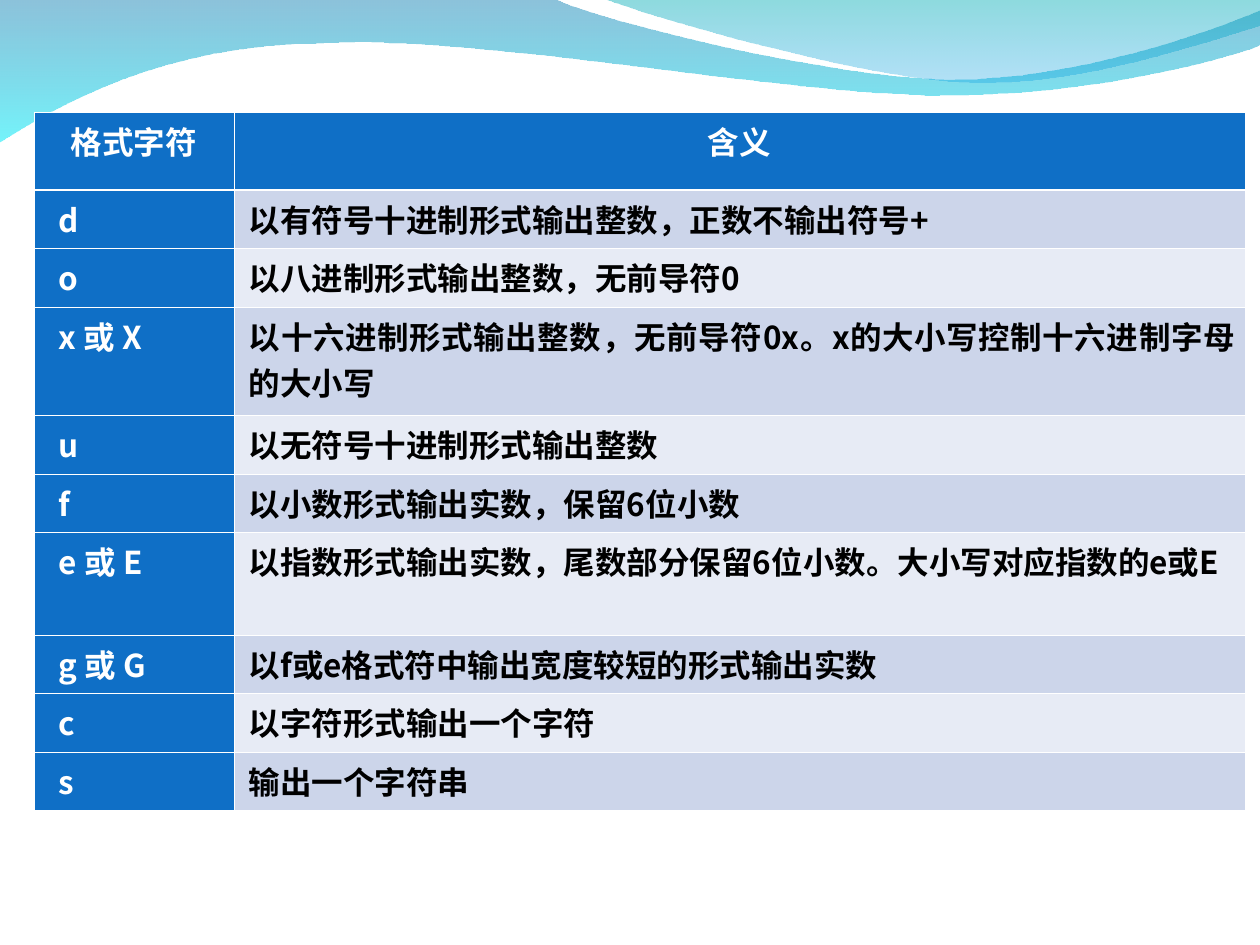
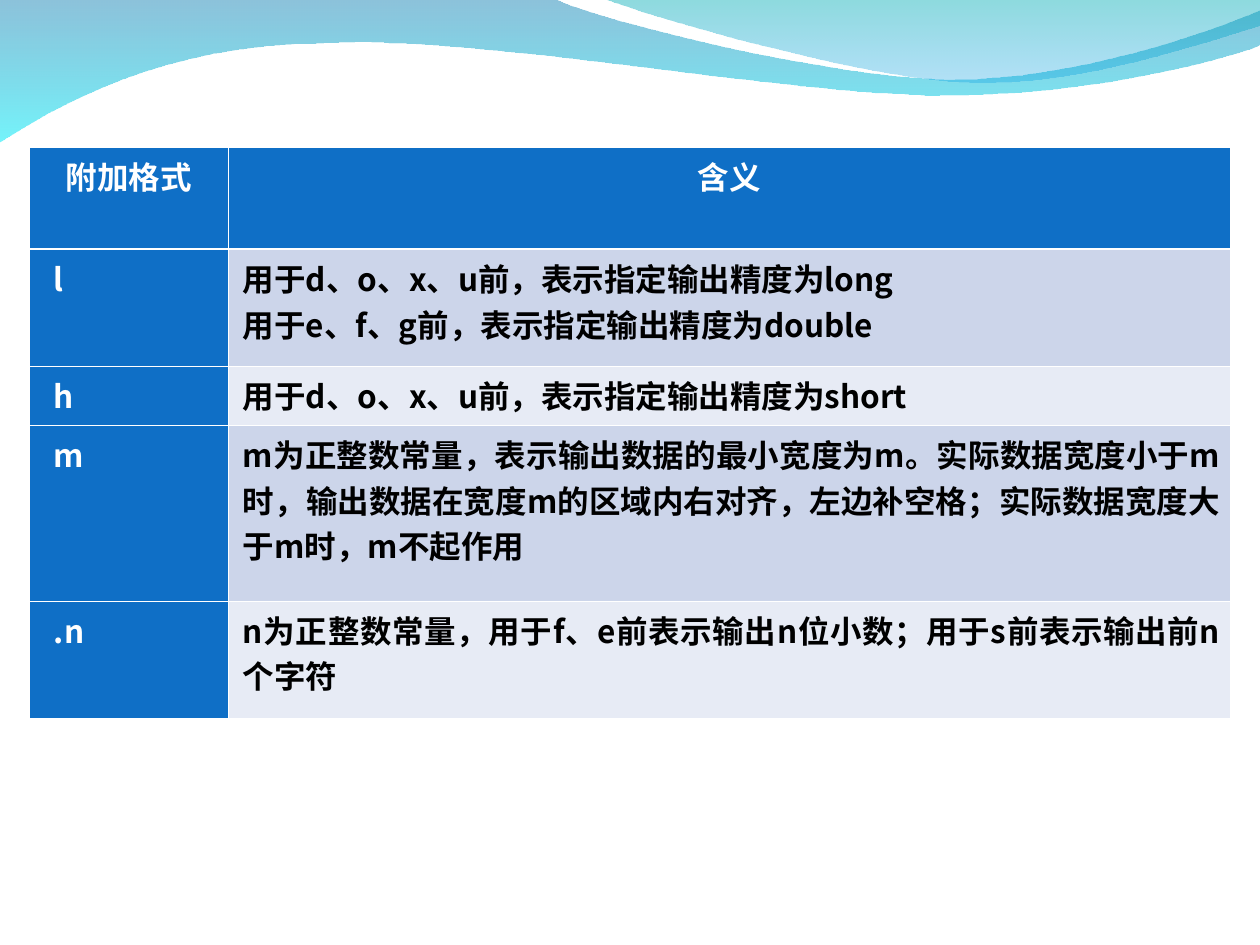
"""Build two slides of printf format tables under a shared wave band."""
from lxml import etree
from pptx import Presentation
from pptx.dml.color import RGBColor
from pptx.enum.text import PP_ALIGN
from pptx.oxml.ns import qn
from pptx.util import Pt

CENTER, JUSTIFY = PP_ALIGN.CENTER, PP_ALIGN.JUSTIFY
EMU_PER_PX = 914400 / 126
FONT = "Noto Sans CJK SC"
WHITE = RGBColor(0xFF, 0xFF, 0xFF)
BLACK = RGBColor(0x00, 0x00, 0x00)
BLUE = RGBColor(0x0F, 0x6F, 0xC6)
BANDS = [RGBColor(0xE7, 0xEB, 0xF5), RGBColor(0xCC, 0xD5, 0xEA)]
THIN, THICK = Pt(0.45), Pt(1.47)

WAVES = [
    {
        "start": (0, -1),
        "segments": [
            [(554, -1)],
            [(600, 21), (837, 79), (955, 79)],
            [(1075, 79), (1207, 33), (1260, 11)],
            [(1261, 45)],
            [(1239, 55), (1096, 96), (940, 95)],
            [(784, 95), (481, 35), (324, 43)],
            [(163, 44), (58, 105), (-1, 142)],
            [(0, -1)],
        ],
        "stops": [(RGBColor(0x00, 0x79, 0xAF), 45), (RGBColor(0x00, 0xEB, 0xF8), 55)],
    },
    {
        "start": (604, -1),
        "segments": [
            [(641, 14), (859, 78), (969, 82)],
            [(1079, 87), (1211, 40), (1260, 26)],
            [(1260, 0)],
            [(604, -1)],
        ],
        "stops": [(RGBColor(0x00, 0xAD, 0xB6), 45), (RGBColor(0x00, 0x9B, 0xE5), 30)],
    },
]

TABLES = [
    {
        "corner": (34, 112),
        "columns": [200, 1011],
        "heights": [78, 58, 59, 108, 59, 58, 76, 58, 59, 58],
        "rows": [
            ("格式字符", "含义"),
            ("d", "以有符号十进制形式输出整数，正数不输出符号+"),
            ("o", "以八进制形式输出整数，无前导符0"),
            ("x 或 X", "以十六进制形式输出整数，无前导符0x。x的大小写控制十六进制字母的大小写"),
            ("u", "以无符号十进制形式输出整数"),
            ("f", "以小数形式输出实数，保留6位小数"),
            ("e 或 E", "以指数形式输出实数，尾数部分保留6位小数。大小写对应指数的e或E"),
            ("g 或 G", "以f或e格式符中输出宽度较短的形式输出实数"),
            ("c", "以字符形式输出一个字符"),
            ("s", "输出一个字符串"),
        ],
    },
    {
        "corner": (29, 147),
        "columns": [199, 1002],
        "heights": [102, 117, 59, 176, 117],
        "rows": [
            ("附加格式", "含义"),
            ("l", "用于d、o、x、u前，表示指定输出精度为long\n用于e、f、g前，表示指定输出精度为double"),
            ("h", "用于d、o、x、u前，表示指定输出精度为short"),
            ("m", "m为正整数常量，表示输出数据的最小宽度为m。实际数据宽度小于m时，"
                  "输出数据在宽度m的区域内右对齐，左边补空格；实际数据宽度大于m时，m不起作用"),
            (".n", "n为正整数常量，用于f、e前表示输出n位小数；用于s前表示输出前n个字符"),
        ],
    },
]


def px(length):
    return round(length * EMU_PER_PX)


def bend_segments(shape, segments):
    lines = iter(list(shape.element.iter(qn("a:lnTo"))))
    for segment in segments:
        nodes = [next(lines) for _ in segment]
        if len(nodes) == 3:
            curve = etree.Element(qn("a:cubicBezTo"))
            nodes[0].addprevious(curve)
            for node in nodes:
                curve.append(node[0])
                node.getparent().remove(node)


deck = Presentation()
deck.slide_width, deck.slide_height = px(1260), px(945)
layout = deck.slide_layouts[6]
for placeholder in list(layout.placeholders):
    layout.shapes.element.remove(placeholder.element)
pages = [deck.slides.add_slide(layout) for _ in TABLES]

wave_shapes = []
for wave in WAVES:
    corners = [(px(x), px(y)) for segment in wave["segments"] for x, y in segment]
    builder = pages[0].shapes.build_freeform(*map(px, wave["start"]))
    builder.add_line_segments(corners, close=True)
    shape = builder.convert_to_shape()
    bend_segments(shape, wave["segments"])
    shape.shadow.inherit = False
    shape.line.fill.background()
    shape.fill.gradient()
    shape.fill.gradient_angle = 270
    for stop, (color, _) in zip(shape.fill.gradient_stops, wave["stops"]):
        stop.color.rgb = color
    for node, (_, opacity) in zip(shape.element.iter(qn("a:srgbClr")), wave["stops"]):
        etree.SubElement(node, qn("a:alpha"), val=str(opacity * 1000))
    wave_shapes.append(shape)
for shape in wave_shapes:
    layout.shapes.element.append(shape.element)

for page, content in zip(pages, TABLES):
    rows, widths, heights = content["rows"], content["columns"], content["heights"]
    left, top = content["corner"]
    frame = page.shapes.add_table(
        len(rows), len(widths), px(left), px(top), px(sum(widths)), px(sum(heights)))
    table = frame.table
    table.horz_banding = False
    for column, width in zip(table.columns, widths):
        column.width = px(width)
    for row, height in zip(table.rows, heights):
        row.height = px(height)

    for index, (cell, node) in enumerate(zip(table.iter_cells(), frame.element.iter(qn("a:tc")))):
        row_index, column_index = divmod(index, len(widths))
        is_header = row_index == 0
        is_blue = is_header or column_index == 0
        cell.text = rows[row_index][column_index]
        cell.margin_left = px(10 if is_header else (25, 15)[column_index])
        cell.margin_right = px(10)
        cell.margin_top = cell.margin_bottom = px(6)
        cell.fill.solid()
        cell.fill.fore_color.rgb = BLUE if is_blue else BANDS[row_index % 2]
        for para in cell.text_frame.paragraphs:
            para.alignment = CENTER if is_header else JUSTIFY
            for span in para.runs:
                span.font.size = Pt(18)
                span.font.bold = True
                span.font.name = FONT
                span.font.color.rgb = WHITE if is_blue else BLACK

        borders = {
            "a:lnL": THIN,
            "a:lnR": THIN,
            "a:lnT": THICK if row_index == 1 else THIN,
            "a:lnB": THICK if is_header else THIN,
        }
        properties = node.find(qn("a:tcPr"))
        for position, (side, width) in enumerate(borders.items()):
            border = etree.Element(qn(side), w=str(width))
            paint = etree.SubElement(border, qn("a:solidFill"))
            etree.SubElement(paint, qn("a:srgbClr"), val=str(WHITE))
            properties.insert(position, border)

    for run_properties in frame.element.iter(qn("a:rPr")):
        etree.SubElement(run_properties, qn("a:ea"), typeface=FONT)

deck.save("out.pptx")
